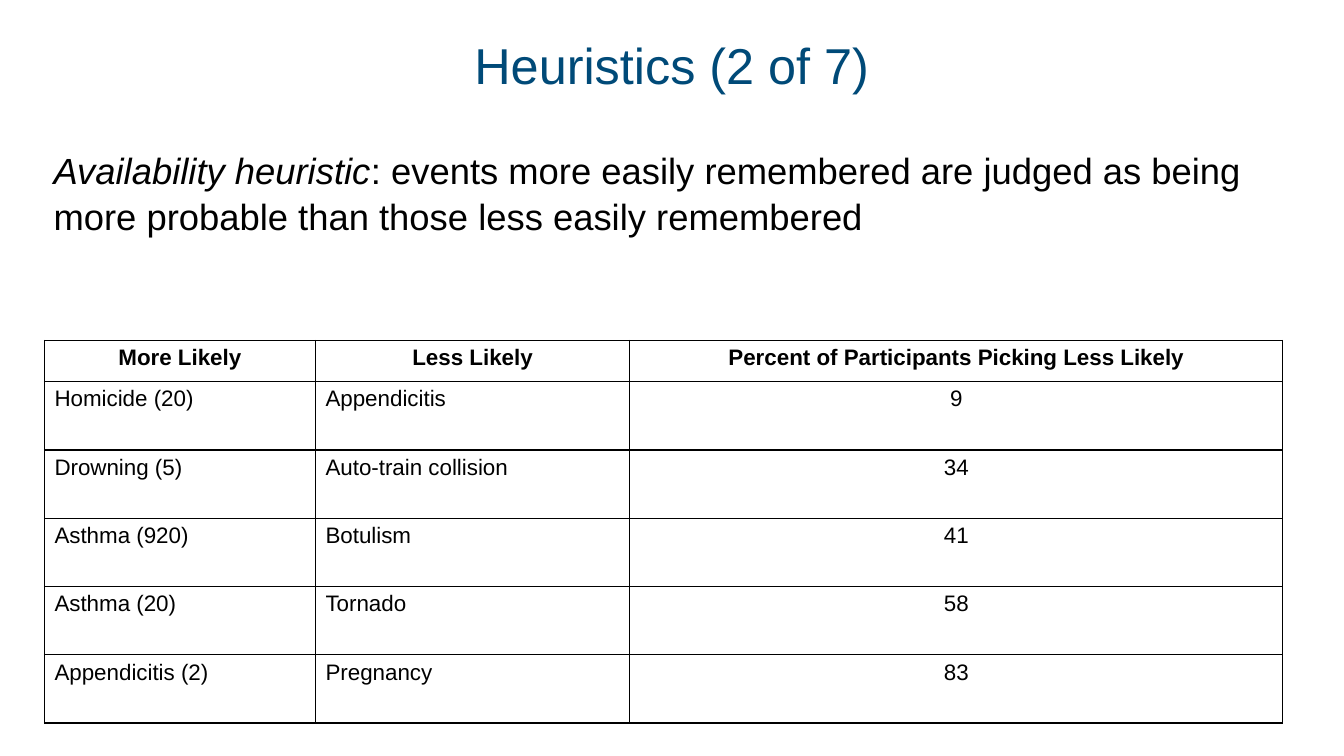
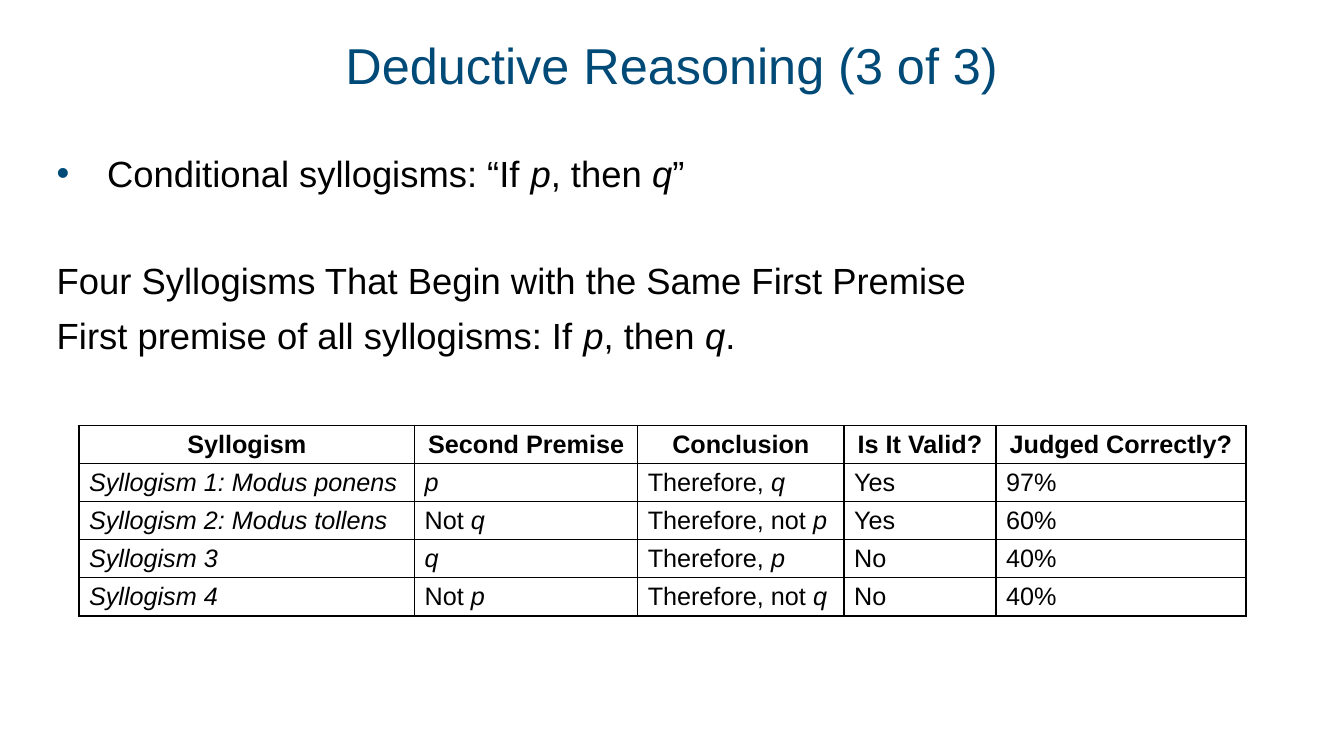
from lxml import etree
from pptx import Presentation
from pptx.dml.color import RGBColor
from pptx.enum import text
from pptx.oxml.ns import qn
from pptx.util import Cm, Pt

COLORS = {"title": "004A78", "text": "000000", "bullet": "004A78",
          "border": "000000", "background": "FFFFFF"}
FONT = "Arial"
TITLE_BOX = (0.28, 0.36, 33.3, 2.74)  # left, top, width, height in cm
CENTER = text.PP_ALIGN.CENTER
LEFT = text.PP_ALIGN.LEFT


def rgb(name):
    return RGBColor.from_string(COLORS[name])


def write(p, marked, size, color="text", bold=False):
    """Fill a paragraph; parts between asterisks become italic."""
    for i, part in enumerate(marked.split("*")):
        if part:
            r = p.add_run()
            r.text = part
            r.font.name, r.font.size = FONT, Pt(size)
            r.font.color.rgb = rgb(color)
            r.font.bold, r.font.italic = bold, i % 2 == 1


def place(sp, box):
    sp.left, sp.top, sp.width, sp.height = (Cm(v) for v in box)
    tf = sp.text_frame
    tf.margin_left = tf.margin_top = tf.margin_right = tf.margin_bottom = 0
    tf.word_wrap, tf.auto_size = True, text.MSO_AUTO_SIZE.NONE
    return tf


def set_bullet(p, bulleted):
    pPr = p._p.get_or_add_pPr()
    indent = Cm(1.27) if bulleted else 0
    pPr.set("marL", str(indent))
    pPr.set("indent", str(-indent))
    if bulleted:
        color = etree.SubElement(pPr, qn("a:buClr"))
        etree.SubElement(color, qn("a:srgbClr"), val=COLORS["bullet"])
        etree.SubElement(pPr, qn("a:buFont"), typeface=FONT)
        etree.SubElement(pPr, qn("a:buChar"), char="•")
    else:
        etree.SubElement(pPr, qn("a:buNone"))


def add_titled_slide(prs, title):
    s = prs.slides.add_slide(prs.slide_layouts[1])
    s.background.fill.solid()
    s.background.fill.fore_color.rgb = rgb("background")
    tf = place(s.shapes.title, TITLE_BOX)
    tf.vertical_anchor = text.MSO_ANCHOR.MIDDLE
    p = tf.paragraphs[0]
    p.alignment, p.line_spacing = CENTER, 0.9
    write(p, title, 36, "title")
    return s


def fill_body(s, box, items):
    """Items are (text, bulleted, space before in points)."""
    tf = place(s.placeholders[1], box)
    tf.vertical_anchor = text.MSO_ANCHOR.TOP
    for i, (line, bulleted, gap) in enumerate(items):
        p = tf.add_paragraph() if i else tf.paragraphs[0]
        set_bullet(p, bulleted)
        p.alignment, p.line_spacing = LEFT, 1.05
        p.space_before = Pt(gap)
        write(p, line, 26)


def set_borders(cell):
    tcPr = cell._tc.get_or_add_tcPr()
    for side in ("lnL", "lnR", "lnT", "lnB"):
        ln = etree.SubElement(tcPr, qn("a:" + side), w=str(Pt(1)))
        fill = etree.SubElement(ln, qn("a:solidFill"))
        etree.SubElement(fill, qn("a:srgbClr"), val=COLORS["border"])


def add_grid(s, left, top, widths, heights, rows, size, centered=(),
             header_anchor=text.MSO_ANCHOR.TOP, bottom=0.13):
    """Table whose first row is a bold, centred header."""
    table = s.shapes.add_table(len(rows), len(widths), Cm(left), Cm(top),
                               Cm(sum(widths)), Cm(sum(heights))).table
    table.first_row = table.horz_banding = False
    for col, width in zip(table.columns, widths):
        col.width = Cm(width)
    for r, (height, values) in enumerate(zip(heights, rows)):
        table.rows[r].height = Cm(height)
        for c, value in enumerate(values):
            cell = table.cell(r, c)
            set_borders(cell)
            cell.fill.background()
            cell.margin_bottom = Cm(bottom)
            cell.vertical_anchor = text.MSO_ANCHOR.TOP if r else header_anchor
            p = cell.text_frame.paragraphs[0]
            p.alignment = CENTER if r == 0 or c in centered else LEFT
            write(p, value, size, bold=r == 0)


def heuristics_slide(prs):
    s = add_titled_slide(prs, "Heuristics (2 of 7)")
    fill_body(s, (1.35, 3.68, 31.2, 4.04), [
        ("*Availability heuristic*: events more easily remembered are judged "
         "as being more probable than those less easily remembered", False, 0),
    ])
    rows = [
        ("More Likely", "Less Likely",
         "Percent of Participants Picking Less Likely"),
        ("Homicide (20)", "Appendicitis", "9"),
        ("Drowning (5)", "Auto-train collision", "34"),
        ("Asthma (920)", "Botulism", "41"),
        ("Asthma (20)", "Tornado", "58"),
        ("Appendicitis (2)", "Pregnancy", "83"),
    ]
    add_grid(s, 1.12, 8.58, (6.83, 7.92, 16.46), [1.04] + [1.72] * 5,
             rows, 16, centered=(2,))


def syllogisms_slide(prs):
    s = add_titled_slide(prs, "Deductive Reasoning (3 of 3)")
    fill_body(s, (1.43, 3.76, 31.2, 5.41), [
        ("Conditional syllogisms: “If *p*, then *q*”", True, 0),
        ("Four Syllogisms That Begin with the Same First Premise", False, 43.6),
        ("First premise of all syllogisms: If *p*, then *q*.", False, 6.2),
    ])
    rows = [
        ("Syllogism", "Second Premise", "Conclusion", "Is It Valid?",
         "Judged Correctly?"),
        ("*Syllogism 1: Modus ponens*", "*p*", "Therefore, *q*", "Yes", "97%"),
        ("*Syllogism 2: Modus tollens*", "Not *q*", "Therefore, not *p*",
         "Yes", "60%"),
        ("*Syllogism 3*", "*q*", "Therefore, *p*", "No", "40%"),
        ("*Syllogism 4*", "Not *p*", "Therefore, not *q*", "No", "40%"),
    ]
    add_grid(s, 1.99, 10.72, (8.46, 5.62, 5.2, 3.83, 6.3), [0.96] * 5,
             rows, 18, header_anchor=text.MSO_ANCHOR.MIDDLE, bottom=0.09)


def main():
    prs = Presentation()
    prs.slide_width, prs.slide_height = Cm(33.87), Cm(19.05)
    heuristics_slide(prs)
    syllogisms_slide(prs)
    prs.save("out.pptx")


if __name__ == "__main__":
    main()
